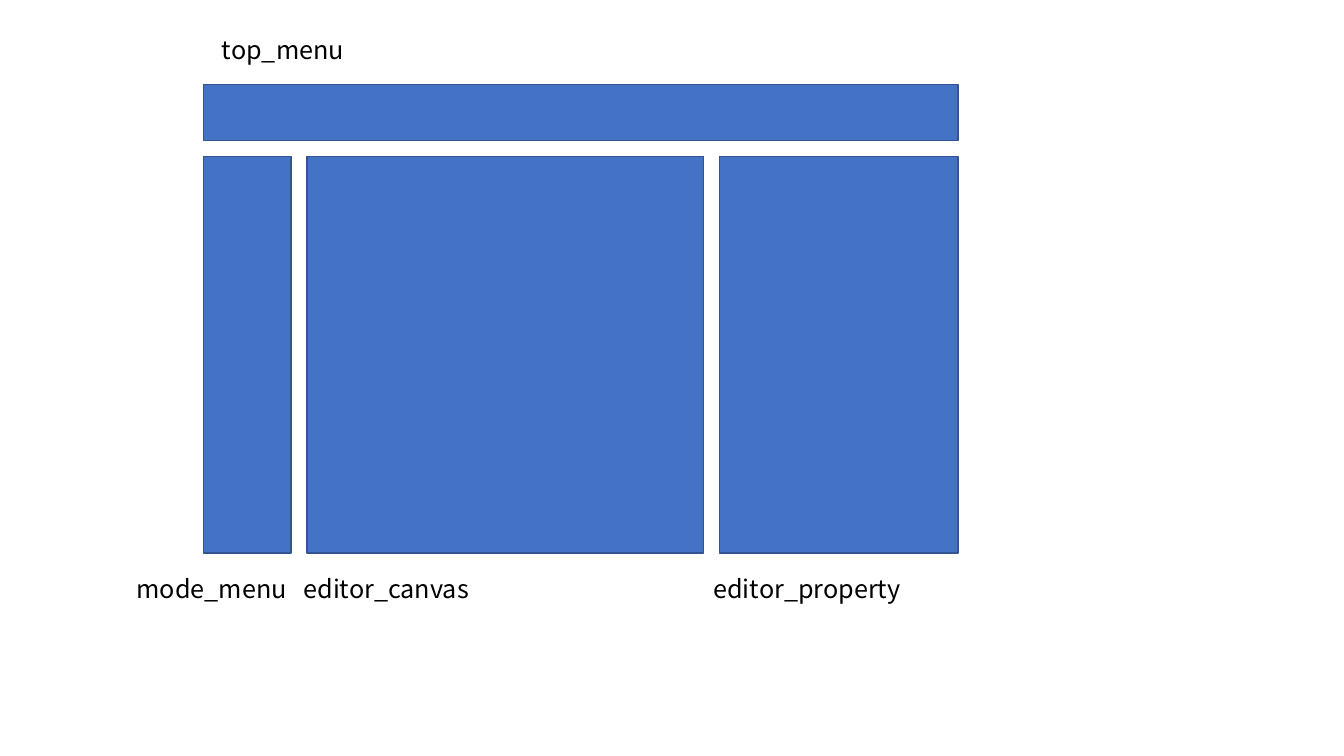
from dataclasses import dataclass

from pptx import Presentation
from pptx.dml.color import RGBColor
from pptx.enum.shapes import MSO_SHAPE
from pptx.enum.text import MSO_ANCHOR, PP_ALIGN
from pptx.util import Cm, Inches, Pt

RECTANGLE = MSO_SHAPE.RECTANGLE
MIDDLE = MSO_ANCHOR.MIDDLE
CENTER = PP_ALIGN.CENTER
BLANK_LAYOUT = 6


@dataclass(frozen=True)
class Theme:
    """Colours, type and line width of the slide."""
    panel: RGBColor = RGBColor.from_string("4472C4")
    outline: RGBColor = RGBColor.from_string("325491")
    paper: RGBColor = RGBColor.from_string("FFFFFF")
    ink: RGBColor = RGBColor.from_string("000000")
    font: str = "Noto Sans CJK KR"
    size: Pt = Pt(18)
    line: Pt = Pt(1)


@dataclass(frozen=True)
class Box:
    """Area counted in grid cells."""
    column: int
    row: int
    columns: int
    rows: int


THEME = Theme()
CELL = Cm(0.2)
LEFT, TOP = Inches(2.02), Inches(0.29)
GAP = 2
LABEL_COLUMNS, LABEL_ROWS = 20, 5
MENU_ROWS = 7
MODE_COLUMNS, PROPERTY_COLUMNS = 11, 30
EDITOR = Box(0, 0, 95, 73)


def add_rectangle(page, box, fill):
    """Add a plain filled rectangle over the cells of the box."""
    shape = page.shapes.add_shape(
        RECTANGLE, LEFT + box.column * CELL, TOP + box.row * CELL,
        box.columns * CELL, box.rows * CELL)
    shape.shadow.inherit = False
    shape.fill.solid()
    shape.fill.fore_color.rgb = fill
    return shape


def add_panel(page, box):
    """Add an outlined panel."""
    panel = add_rectangle(page, box, THEME.panel)
    panel.line.color.rgb = THEME.outline
    panel.line.width = THEME.line


def add_label(page, text, column, row):
    """Add the name of a panel at a grid cell."""
    label = add_rectangle(
        page, Box(column, row, LABEL_COLUMNS, LABEL_ROWS), THEME.paper)
    label.line.fill.background()
    frame = label.text_frame
    frame.text = text
    frame.word_wrap = False
    frame.vertical_anchor = MIDDLE
    para = frame.paragraphs[0]
    para.alignment = CENTER
    font = para.runs[0].font
    font.name, font.size = THEME.font, THEME.size
    font.color.rgb = THEME.ink


def add_top_menu(page, box):
    """Place the menu bar with its label above."""
    add_label(page, "top_menu", box.column, box.row)
    bar_row = box.row + LABEL_ROWS + GAP
    add_panel(page, Box(box.column, bar_row, box.columns, MENU_ROWS))


def add_work_area(page, box):
    """Place the three editor panels with their labels below."""
    panel_rows = box.rows - LABEL_ROWS - GAP
    canvas_columns = (box.columns - MODE_COLUMNS - PROPERTY_COLUMNS
                      - 2 * GAP)
    parts = (("mode_menu", MODE_COLUMNS, MODE_COLUMNS - LABEL_COLUMNS),
             ("editor_canvas", canvas_columns, 0),
             ("editor_property", PROPERTY_COLUMNS, 1))
    column = box.column
    for name, columns, label_shift in parts:
        add_panel(page, Box(column, box.row, columns, panel_rows))
        add_label(page, name, column + label_shift,
                  box.row + panel_rows + GAP)
        column += columns + GAP


def add_editor_layout(page, box):
    """Stack the top menu and the work area in the box."""
    top_rows = LABEL_ROWS + GAP + MENU_ROWS
    add_top_menu(page, Box(box.column, box.row, box.columns, top_rows))
    offset = top_rows + GAP
    add_work_area(page, Box(box.column, box.row + offset, box.columns,
                            box.rows - offset))


def main():
    """Build and save the deck."""
    deck = Presentation()
    deck.slide_width, deck.slide_height = Inches(13.33), Inches(7.5)
    page = deck.slides.add_slide(deck.slide_layouts[BLANK_LAYOUT])
    add_editor_layout(page, EDITOR)
    deck.save("out.pptx")


main()
